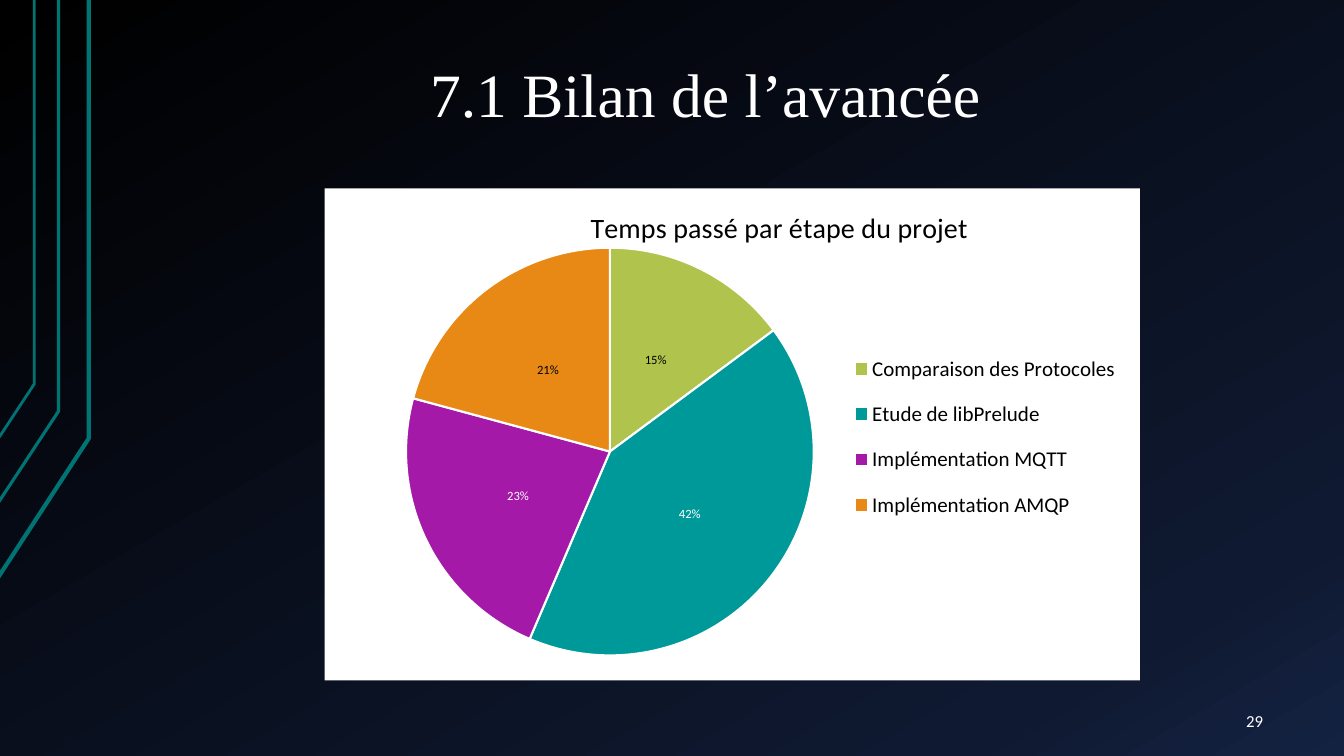
from copy import deepcopy

from pptx import Presentation
from pptx.chart.data import CategoryChartData
from pptx.dml.color import RGBColor
from pptx.enum.chart import XL_CHART_TYPE as ChartType
from pptx.enum.chart import XL_LABEL_POSITION as LabelPosition
from pptx.enum.chart import XL_LEGEND_POSITION as LegendPosition
from pptx.enum.text import MSO_ANCHOR as Anchor
from pptx.enum.text import PP_ALIGN as Align
from pptx.oxml import parse_xml
from pptx.oxml.ns import nsdecls, qn
from pptx.util import Pt

COLORS = {
    "white": "FFFFFF",
    "black": "000000",
    "navy": "0F1931",
    "blue": "142242",
    "line": "007373",
}
BACKGROUND_STOPS = [(0, "black"), (0.85, "navy"), (1, "blue")]
# Step, share of time in percent, slice colour, label colour
STEPS = [
    ("Comparaison des Protocoles", 15, "AFC34D", "black"),
    ("Etude de libPrelude", 42, "009999", "white"),
    ("Implémentation MQTT", 23, "A419A7", "white"),
    ("Implémentation AMQP", 21, "E98915", "black"),
]
# Points from the lower left end to the top edge, line width
CORNER_LINES = [
    ([(-1, 412), (63.4, 313.2), (63.4, 0)], 3),
    ([(-1.4, 359.3), (41.8, 293.8), (41.8, 0)], 2.25),
    ([(-0.7, 312.5), (24.5, 274.3), (24.5, 0)], 2),
]


def rgb(name):
    return RGBColor.from_string(COLORS.get(name, name))


def format_font(font, size, color="black", name="Calibri"):
    font.size = Pt(size)
    font.name = name
    font.bold = False
    font.color.rgb = rgb(color)


def add_text(slide, text, left, top, width, height, *, size, font="Calibri",
             align=Align.LEFT, spacing=1.0):
    shape = slide.shapes.add_textbox(Pt(left), Pt(top), Pt(width), Pt(height))
    frame = shape.text_frame
    frame.word_wrap = True
    frame.vertical_anchor = Anchor.MIDDLE
    frame.margin_left = frame.margin_right = Pt(9.4)
    frame.margin_top = frame.margin_bottom = Pt(5)
    paragraph = frame.paragraphs[0]
    paragraph.alignment = align
    paragraph.line_spacing = spacing
    run = paragraph.add_run()
    run.text = text
    format_font(run.font, size, "white", font)


def paint_background(slide):
    fill = slide.background.fill
    fill.gradient()
    fill.gradient_angle = 300
    stop_list = next(slide.element.iter(qn("a:gsLst")))
    stop_list.append(deepcopy(stop_list[-1]))
    for stop, (position, color) in zip(fill.gradient_stops, BACKGROUND_STOPS):
        stop.position = position
        stop.color.rgb = rgb(color)


def add_corner_line(slide, points, width):
    start, *others = [(Pt(x), Pt(y)) for x, y in points]
    builder = slide.shapes.build_freeform(*start)
    builder.add_line_segments(others, close=False)
    shape = builder.convert_to_shape()
    shape.shadow.inherit = False
    shape.fill.background()
    shape.line.color.rgb = rgb("line")
    shape.line.width = Pt(width)


def place(element, successor, target=None, **fractions):
    """Give a chart part a manual layout in fractions of the chart."""
    for old in element.findall(qn("c:layout")):
        element.remove(old)
    inner = f'<c:layoutTarget val="{target}"/>' if target else ""
    modes = "".join(f'<c:{axis}Mode val="edge"/>' for axis in "xy")
    values = "".join(f'<c:{key} val="{value}"/>' for key, value in fractions.items())
    layout = parse_xml(
        f'<c:layout {nsdecls("c")}><c:manualLayout>{inner}{modes}{values}'
        "</c:manualLayout></c:layout>"
    )
    element.find(qn(successor)).addprevious(layout)


def show_percent(labels):
    for key, value in (("showVal", "0"), ("showPercent", "1")):
        labels.find(qn(f"c:{key}")).set("val", value)


def style_slices(plot):
    plot.vary_by_categories = True
    plot.has_data_labels = True
    labels = plot.data_labels
    labels.show_value = False
    labels.show_percentage = True
    labels.position = LabelPosition.CENTER
    format_font(labels.font, 9)
    series = plot.series[0]
    for index, (_, _, color, label_color) in enumerate(STEPS):
        point = series.points[index]
        point.format.fill.solid()
        point.format.fill.fore_color.rgb = rgb(color)
        point.format.line.color.rgb = rgb("white")
        point.format.line.width = Pt(1.5)
        label = point.data_label
        format_font(label.font, 9, label_color)
        label.position = LabelPosition.CENTER
    for element in plot.series[0].data_labels._element.iter(qn("c:dLbl"), qn("c:dLbls")):
        show_percent(element)


def add_time_chart(slide, left, top, width, height):
    data = CategoryChartData()
    data.categories = [step[0] for step in STEPS]
    data.add_series("Series 1", [step[1] for step in STEPS])
    chart = slide.shapes.add_chart(
        ChartType.PIE, Pt(left), Pt(top), Pt(width), Pt(height), data
    ).chart
    format_font(chart.font, 10)

    chart.has_title = True
    title = chart.chart_title
    title.text_frame.text = "Temps passé par étape du projet"
    format_font(title.text_frame.paragraphs[0].runs[0].font, 20)
    title.include_in_layout = False
    place(title._element, "c:overlay", x=0.32, y=0.03)

    chart.has_legend = True
    legend = chart.legend
    legend.position = LegendPosition.RIGHT
    legend.include_in_layout = False
    format_font(legend.font, 15)
    place(legend._element, "c:overlay", x=0.64, y=0.3, w=0.34, h=0.41)

    style_slices(chart.plots[0])
    chart_space = chart.element
    plot_area = next(chart_space.iter(qn("c:plotArea")))
    place(plot_area, "c:pieChart", "inner", x=0.1, y=0.12, w=0.5, h=0.83)
    chart_space.find(qn("c:txPr")).addprevious(parse_xml(
        f'<c:spPr {nsdecls("c", "a")}><a:solidFill><a:srgbClr val="{COLORS["white"]}"/>'
        "</a:solidFill><a:ln><a:noFill/></a:ln></c:spPr>"
    ))


def main():
    presentation = Presentation()
    presentation.slide_width = Pt(960)
    presentation.slide_height = Pt(540)
    slide = presentation.slides.add_slide(presentation.slide_layouts[6])
    paint_background(slide)
    for points, width in CORNER_LINES:
        add_corner_line(slide, points, width)
    add_text(slide, "7.1 Bilan de l’avancée", 96, 21.6, 816, 96.5, size=44,
             font="Times New Roman", align=Align.CENTER, spacing=0.9)
    add_text(slide, "29", 831.6, 500.4, 80, 28.8, size=12, align=Align.RIGHT)
    add_time_chart(slide, 231.8, 134.6, 582.5, 351.4)
    presentation.save("out.pptx")


if __name__ == "__main__":
    main()
